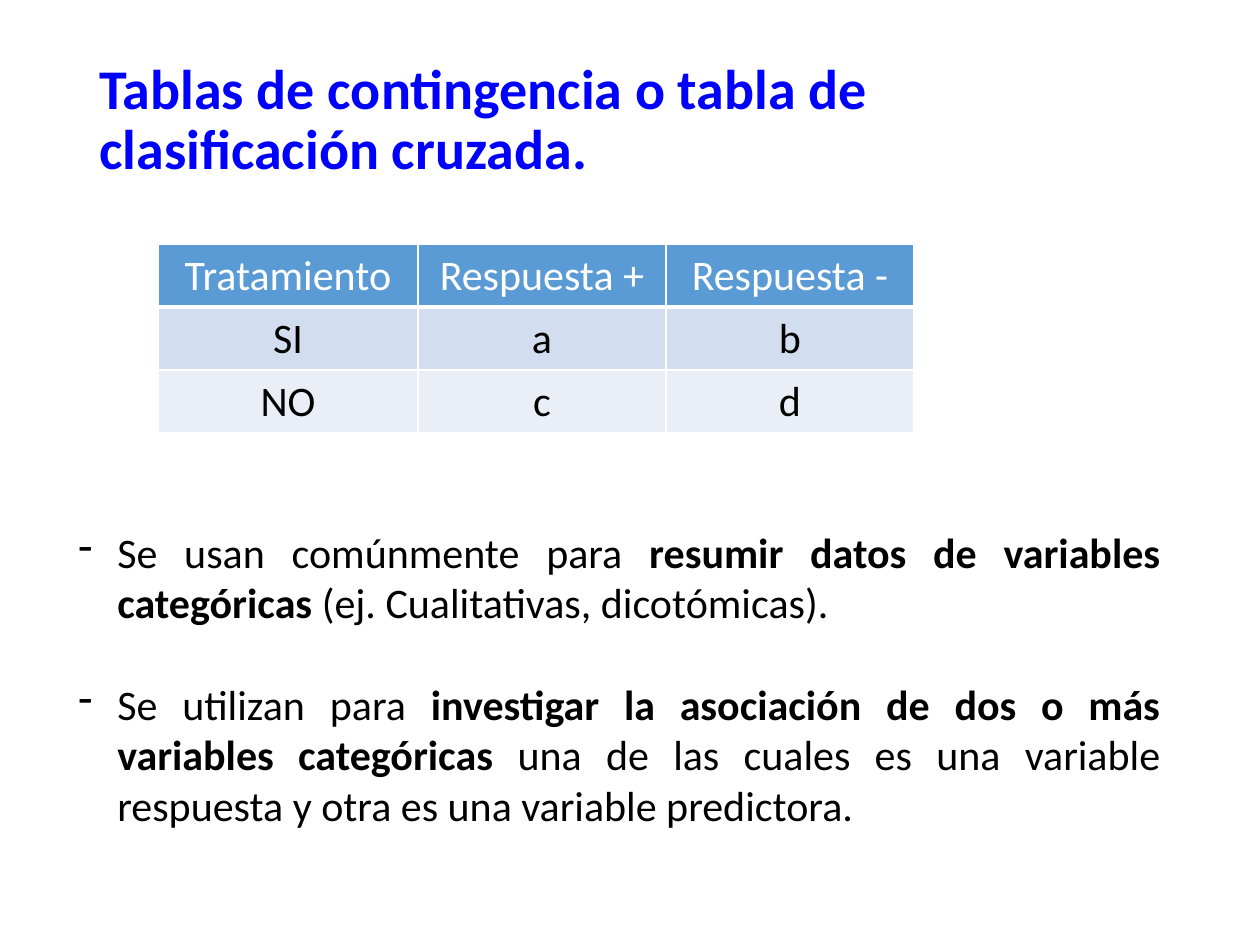
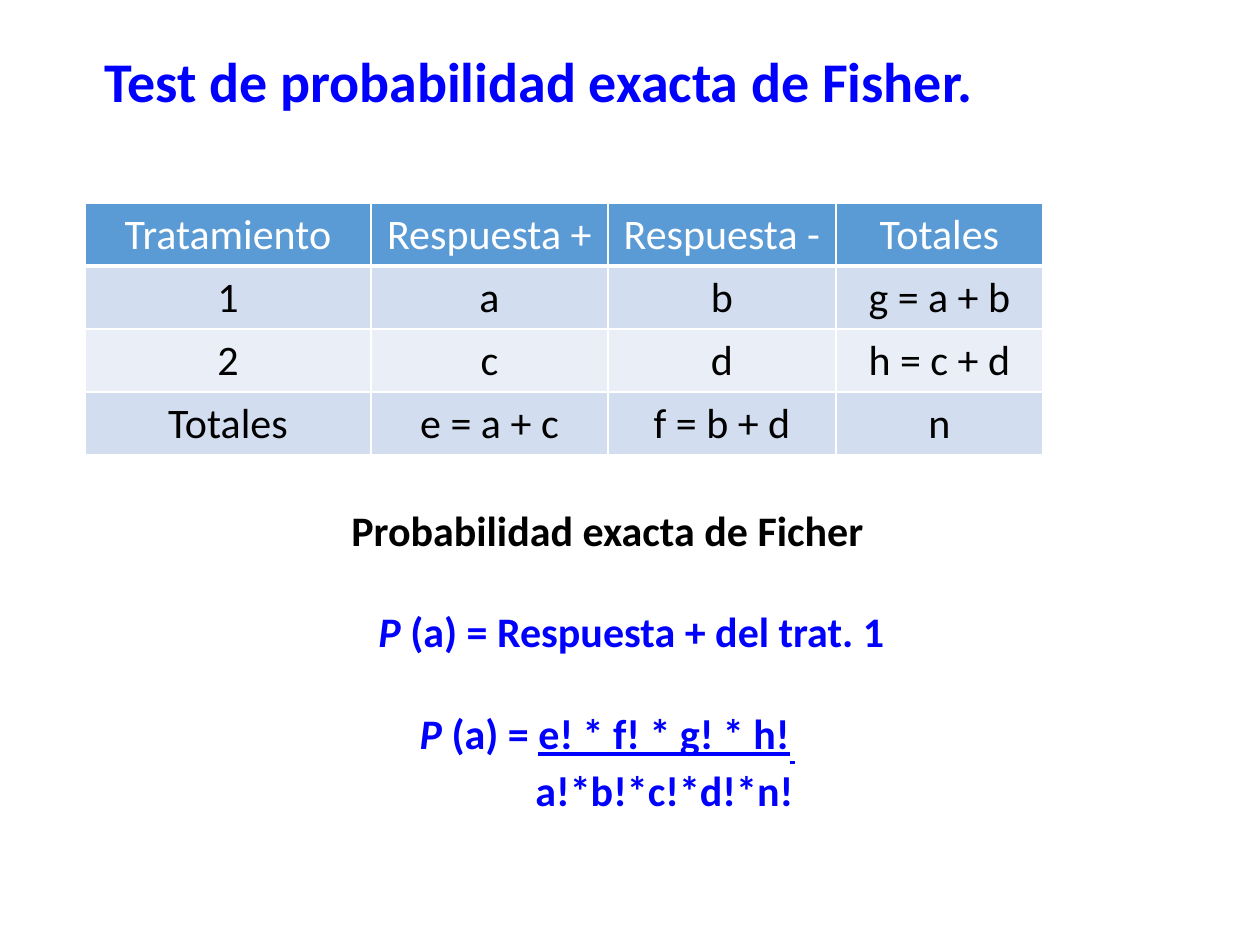
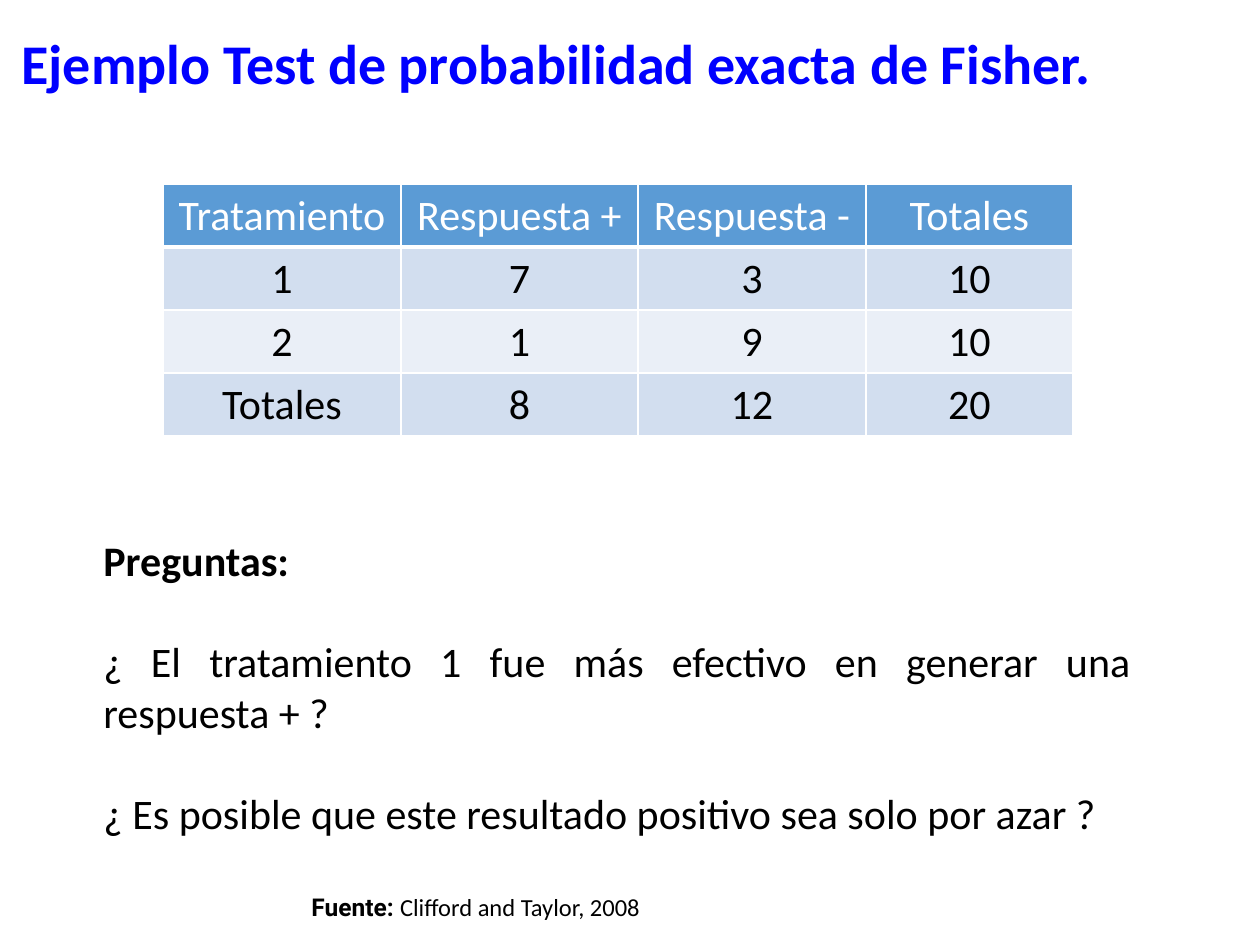
from lxml.etree import SubElement
from pptx import Presentation
from pptx.dml.color import RGBColor
from pptx.enum.text import MSO_ANCHOR, MSO_AUTO_SIZE, PP_ALIGN
from pptx.oxml.ns import qn
from pptx.util import Pt

SCALE = 914400 / 126
INK = {"title": "0000FF", "text": "000000", "head": "5B9BD5",
       "odd": "D2DEEF", "even": "EAEFF7", "white": "FFFFFF"}
LEFT, MID, JUST = PP_ALIGN.LEFT, PP_ALIGN.CENTER, PP_ALIGN.JUSTIFY
GAP = 29.3
ROW = 63
HEADS = ["Tratamiento", "Respuesta +", "Respuesta -"]


def px(num):
    return round(num * SCALE)


def paint(name):
    return RGBColor.from_string(INK[name])


def say(para, text, size=24, font="Calibri", ink="text", bold=False,
        slant=False, line=False, base=0):
    """Add a run; base is a shift of the baseline in percent."""
    run = para.add_run()
    run.text = text
    run.font.size = Pt(size)
    run.font.name = font
    run.font.bold = bold
    run.font.italic = slant
    run.font.underline = line
    run.font.color.rgb = paint(ink)
    if base:
        run._r.get_or_add_rPr().set("baseline", str(base * 1000))


def frame(slide, left, top, width, high, anchor=MSO_ANCHOR.TOP, wrap=True):
    body = slide.shapes.add_textbox(*map(px, (left, top, width, high))).text_frame
    body.word_wrap = wrap
    body.auto_size = MSO_AUTO_SIZE.SHAPE_TO_FIT_TEXT
    body.vertical_anchor = anchor
    return body


def write(body, runs, align=LEFT, gap=0, indent=0, mark=None):
    """Add a paragraph of (text, format) runs, with a hanging mark if given."""
    para = body.paragraphs[0]
    if para.runs:
        para = body.add_paragraph()
    props = para._p.get_or_add_pPr()
    if indent:
        props.set("marL", str(px(indent)))
    if mark:
        props.set("indent", str(-px(indent)))
        SubElement(props, qn("a:buFontTx"))
        SubElement(props, qn("a:buChar")).set("char", mark)
    para.alignment = align
    if gap:
        para.space_before = Pt(gap)
    for text, style in runs:
        say(para, text, **style)
    return para


def title(slide, text, left, top, width, high):
    body = frame(slide, left, top, width, high, MSO_ANCHOR.MIDDLE)
    para = write(body, [(text, dict(size=32, ink="title", bold=True))])
    para.line_spacing = 0.9


def edge(cell, **sides):
    """Draw white borders, widths in points by side."""
    props = cell._tc.get_or_add_tcPr()
    for side, width in sides.items():
        rule = SubElement(props, qn(f"a:ln{side}"), w=str(Pt(width)))
        fill = SubElement(rule, qn("a:solidFill"))
        SubElement(fill, qn("a:srgbClr"), val=INK["white"])


def grid(slide, left, top, cols, rows):
    table = slide.shapes.add_table(
        len(rows), len(cols), px(left), px(top),
        px(sum(cols)), px(ROW * len(rows))).table
    for col, width in zip(table.columns, cols):
        col.width = px(width)
    for i, row in enumerate(rows):
        table.rows[i].height = px(ROW)
        shade = "head" if i == 0 else "odd" if i % 2 else "even"
        for j, text in enumerate(row):
            cell = table.cell(i, j)
            edge(cell, L=1, R=1, T=3 if i == 1 else 1, B=3 if i == 0 else 1)
            cell.fill.solid()
            cell.fill.fore_color.rgb = paint(shade)
            para = cell.text_frame.paragraphs[0]
            para.alignment = MID
            say(para, text, ink="text" if i else "white")


def cross(slide):
    title(slide, "Tablas de contingencia o tabla de clasificación cruzada.",
          87, 54, 1086, 135)
    body = frame(slide, 66, 519, 1107, 318, MSO_ANCHOR.MIDDLE)
    points = [
        ("Se usan comúnmente para ", "resumir datos de variables categóricas ",
         "(ej. Cualitativas, dicotómicas)."),
        ("Se utilizan para ",
         "investigar la asociación de dos o más variables categóricas ",
         "una de las cuales es una variable respuesta y otra es una "
         "variable predictora."),
    ]
    for i, (start, key, rest) in enumerate(points):
        write(body, [(start, {}), (key, dict(bold=True)), (rest, {})],
              align=JUST, gap=GAP * i, indent=39, mark="-")
    grid(slide, 158, 244, [260, 248, 248],
         [HEADS, ["SI", "a", "b"], ["NO", "c", "d"]])


def fisher(slide):
    title(slide, "Test de probabilidad exacta de Fisher.", 92, 47, 1086, 74)
    grid(slide, 85, 203, [286, 237, 228, 207],
         [HEADS + ["Totales"], ["1", "a", "b", "g = a + b"],
          ["2", "c", "d", "h = c + d"],
          ["Totales", "e = a + c", "f = b + d", "n"]])
    body = frame(slide, 173, 498, 869, 318)
    blue = dict(ink="title", bold=True)
    prob = ("P", dict(blue, slant=True))
    under = dict(blue, line=True)
    write(body, [("Probabilidad exacta de Ficher", dict(bold=True))], align=MID)
    write(body, [prob, (" (a) = Respuesta + del trat. 1", blue)],
          align=MID, gap=GAP, indent=48)
    write(body, [prob, (" (a) = ", blue), ("e! * f! * g! * h!", under),
                 (" ", dict(under, base=-25))], align=MID, gap=GAP)
    write(body, [("a!*b!*c!*d!*n!", blue)], align=MID, indent=114)


def sample(slide):
    grid(slide, 163, 184, [238, 237, 228, 207],
         [HEADS + ["Totales"], ["1", "7", "3", "10"],
          ["2", "1", "9", "10"], ["Totales", "8", "12", "20"]])
    title(slide, "Ejemplo Test de probabilidad exacta de Fisher.",
          9, 29, 1251, 74)
    body = frame(slide, 91, 528, 1052, 318)
    write(body, [("Preguntas:", dict(bold=True))], align=JUST)
    for text in (
            "¿ El tratamiento 1 fue más efectivo en generar una respuesta + ?",
            "¿ Es posible que este resultado positivo sea solo por azar ?"):
        write(body, [(text, {})], align=JUST, gap=GAP)
    source = frame(slide, 299, 886, 369, 43, wrap=False)
    write(source, [("Fuente: ", dict(size=14, font="Roboto", bold=True)),
                   ("Clifford and Taylor, 2008", dict(size=14))])


def main():
    deck = Presentation()
    deck.slide_width, deck.slide_height = px(1260), px(945)
    for build in (cross, fisher, sample):
        build(deck.slides.add_slide(deck.slide_layouts[6]))
    deck.save("out.pptx")


if __name__ == "__main__":
    main()
